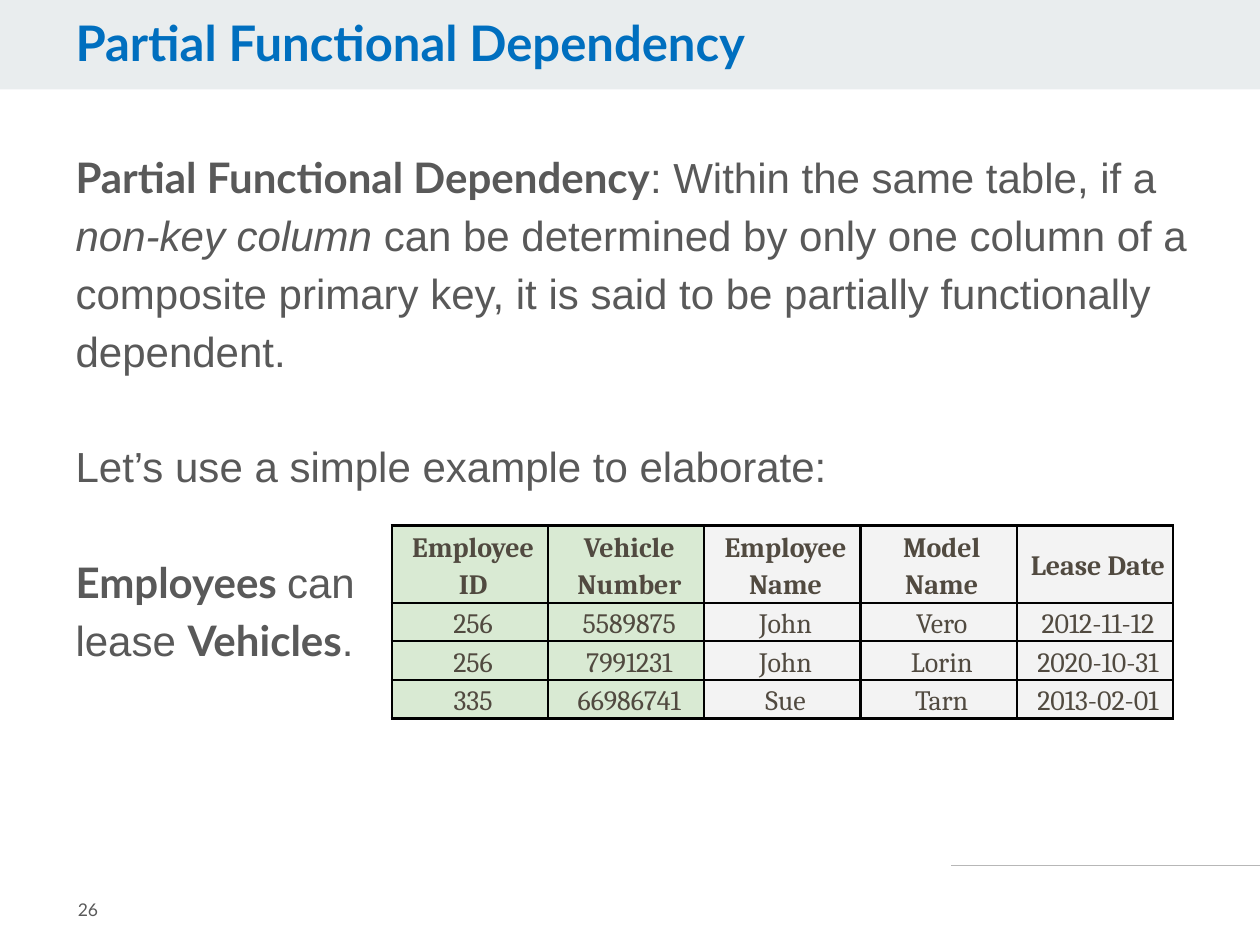
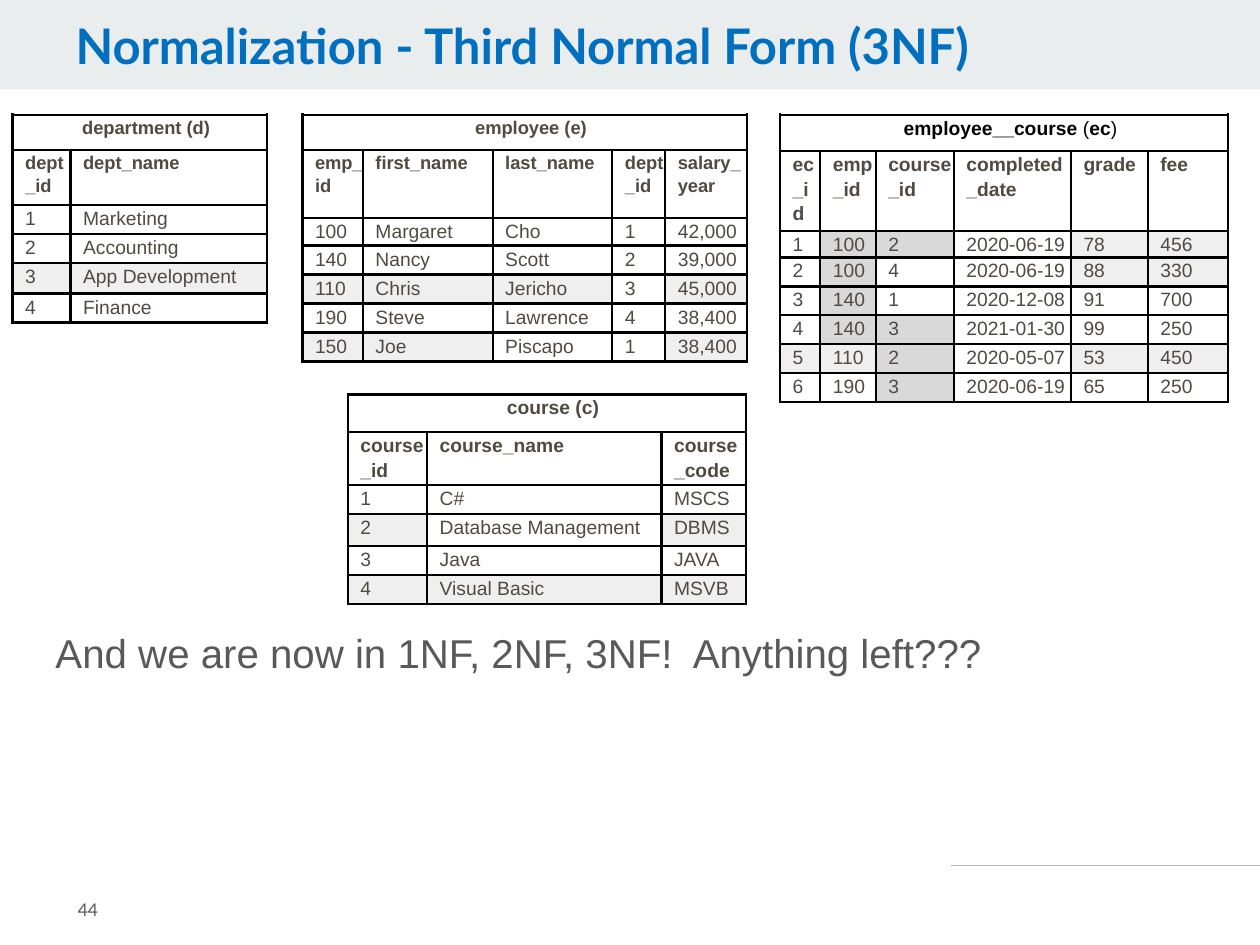
from lxml import etree
from pptx import Presentation
from pptx.dml.color import RGBColor
from pptx.enum import shapes, text
from pptx.oxml import ns
from pptx.util import Inches, Pt

BLUE, GREY, BROWN, BLACK = "006FBF", "595959", "514A40", "000000"
BAND, RULE = "E9EDEE", "B7B7B7"
FILLS = {"G": "D9EAD3", "L": "F3F3F3", "D": "D9D9D9", "E": "EFEFEF"}

PARTIAL = [
    (0, [("Partial Functional Dependency", "b"),
         (": Within the same table, if a ", ""),
         ("non-key column ", "i"),
         ("can be determined by only one column of a composite primary key, "
          "it is said to be partially functionally dependent.", "")]),
    (33, [("Let’s use a simple example to elaborate:", "")]),
    (33, [("Employees ", "b"), ("can ", ""), ("\n", ""), ("lease ", ""),
          ("Vehicles", "b"), (".", "")]),
]
CLOSING = [(0, [("And we are now in 1NF, 2NF, 3NF!  Anything left???", "")])]

LEASES = {
    "at": (3.11, 4.17), "cols": [1.24] * 5, "heights": [0.59] + [0.29] * 3,
    "rows": [
        ("GGLLL", "Employee ID", "Vehicle Number", "Employee Name", "Model Name", "Lease Date"),
        ("GGLLL", "256", "5589875", "John", "Vero", "2012-11-12"),
        ("GGLLL", "256", "7991231", "John", "Lorin", "2020-10-31"),
        ("GGLLL", "335", "66986741", "Sue", "Tarn", "2013-02-01"),
    ],
}
ENTITIES = [
    {
        "title": [("employee (e)", True)], "color": BROWN, "size": 10.5,
        "at": (2.4, 0.91), "cols": [0.48, 1.03, 0.95, 0.42, 0.65],
        "heights": [0.28, 0.54, 0.22] + [0.23] * 4,
        "rows": [
            ("-----", "emp_id", "first_name", "last_name", "dept_id", "salary_year"),
            ("-----", "100", "Margaret", "Cho", "1", "42,000"),
            ("-----", "140", "Nancy", "Scott", "2", "39,000"),
            ("EEE-E", "110", "Chris", "Jericho", "3", "45,000"),
            ("-----", "190", "Steve", "Lawrence", "4", "38,400"),
            ("EE--E", "150", "Joe", "Piscapo", "1", "38,400"),
        ],
    },
    {
        "title": [("department (d)", True)], "color": BROWN, "size": 10.5,
        "at": (0.1, 0.91), "cols": [0.46, 1.56],
        "heights": [0.28, 0.44, 0.23, 0.23, 0.24, 0.23],
        "rows": [
            ("--", "dept_id", "dept_name"),
            ("--", "1", "Marketing"),
            ("--", "2", "Accounting"),
            ("EE", "3", "App Development"),
            ("--", "4", "Finance"),
        ],
    },
    {
        "title": [("employee__course ", True), ("(", False), ("ec", True), (")", False)],
        "color": BLACK, "size": 11,
        "at": (6.19, 0.91), "cols": [0.32, 0.44, 0.62, 0.93, 0.61, 0.64],
        "heights": [0.29, 0.54, 0.21] + [0.23] * 5,
        "rows": [
            ("------", "ec_id", "emp_id", "course_id", "completed_date", "grade", "fee"),
            ("-DD-EE", "1", "100", "2", "2020-06-19", "78", "456"),
            ("-D--EE", "2", "100", "4", "2020-06-19", "88", "330"),
            ("-D----", "3", "140", "1", "2020-12-08", "91", "700"),
            ("-DD---", "4", "140", "3", "2021-01-30", "99", "250"),
            ("EED-EE", "5", "110", "2", "2020-05-07", "53", "450"),
            ("--D---", "6", "190", "3", "2020-06-19", "65", "250"),
        ],
    },
    {
        "title": [("course (c)", True)], "color": BROWN, "size": 11,
        "at": (2.76, 3.13), "cols": [0.63, 1.86, 0.67],
        "heights": [0.3, 0.3, 0.23, 0.25, 0.23, 0.23],
        "rows": [
            ("---", "course_id", "course_name", "course_code"),
            ("---", "1", "C#", "MSCS"),
            ("E-E", "2", "Database Management", "DBMS"),
            ("---", "3", "Java", "JAVA"),
            ("EEE", "4", "Visual Basic", "MSVB"),
        ],
    },
]


def rgb(code):
    return RGBColor.from_string(code)


def style(font, name, size, color, bold=False):
    font.name, font.size, font.bold = name, Pt(size), bold
    font.color.rgb = rgb(color)


def place(shape, left, top, width, height):
    shape.left, shape.top = Inches(left), Inches(top)
    shape.width, shape.height = Inches(width), Inches(height)


def add_frame(slide, layout):
    band = slide.shapes.add_shape(
        shapes.MSO_SHAPE.RECTANGLE, 0, 0, Inches(10), Inches(0.71))
    band.shadow.inherit = False
    band.fill.solid()
    band.fill.fore_color.rgb = rgb(BAND)
    band.line.fill.background()
    rule = slide.shapes.add_connector(
        shapes.MSO_CONNECTOR.STRAIGHT, Inches(7.55), Inches(6.87), Inches(10), Inches(6.87))
    rule.line.color.rgb = rgb(RULE)
    rule.line.width = Pt(0.75)
    etree.SubElement(rule.element.spPr, ns.qn("a:effectLst"))
    for part in (band, rule):
        layout.shapes.element.insert(2, part.element)


def add_title(slide, words, top):
    title = slide.shapes.title
    place(title, 0.5, top, 7.88, 0.55)
    frame = title.text_frame
    frame.text = words
    frame.auto_size = text.MSO_AUTO_SIZE.NONE
    frame.vertical_anchor = text.MSO_ANCHOR.MIDDLE
    para = frame.paragraphs[0]
    para.alignment = text.PP_ALIGN.LEFT
    para.line_spacing = 0.9
    style(para.font, "Lato", 28, BLUE, True)


def add_body(slide, paras, box, size, inset=0.05):
    body = slide.placeholders[1]
    place(body, *box)
    frame = body.text_frame
    frame.auto_size = text.MSO_AUTO_SIZE.NONE
    frame.margin_top = Inches(inset)
    for i, (gap, runs) in enumerate(paras):
        para = frame.add_paragraph() if i else frame.paragraphs[0]
        para.line_spacing = 1.15
        para.space_before = Pt(gap)
        style(para.font, "Arial", size, GREY)
        props = para._p.get_or_add_pPr()
        props.set("marL", "0")
        props.set("indent", "0")
        props.insert_element_before(
            props.makeelement(ns.qn("a:buNone")), "a:tabLst", "a:defRPr", "a:extLst")
        for words, mark in runs:
            if words == "\n":
                para.add_line_break()
                continue
            run = para.add_run()
            run.text = words
            if mark == "b":
                run.font.name, run.font.bold = "Lato", True
            elif mark == "i":
                run.font.italic = True


def add_number(slide, number):
    box = slide.shapes.add_textbox(Inches(0.52), Inches(6.93), Inches(1.23), Inches(0.57))
    frame = box.text_frame
    frame.word_wrap = True
    frame.vertical_anchor = text.MSO_ANCHOR.MIDDLE
    frame.margin_top = frame.margin_bottom = Inches(0.1)
    frame.text = str(number)
    style(frame.paragraphs[0].font, "Lato", 10, GREY)


def add_borders(cell):
    props = cell._tc.get_or_add_tcPr()
    for side in ("lnL", "lnR", "lnT", "lnB"):
        line = etree.SubElement(props, ns.qn("a:" + side), w=str(Pt(1.5)))
        fill = etree.SubElement(line, ns.qn("a:solidFill"))
        etree.SubElement(fill, ns.qn("a:srgbClr"), val=BLACK)


def set_cell(cell, words, mark, inset):
    add_borders(cell)
    if mark in FILLS:
        cell.fill.solid()
        cell.fill.fore_color.rgb = rgb(FILLS[mark])
    else:
        cell.fill.background()
    cell.margin_left = Inches(inset)
    cell.margin_right = cell.margin_top = cell.margin_bottom = 0
    cell.text = words
    para = cell.text_frame.paragraphs[0]
    para.line_spacing = 1.15
    return para


def add_grid(slide, data):
    cols, heights = data["cols"], data["heights"]
    left, top = data["at"]
    grid = slide.shapes.add_table(
        len(heights), len(cols), Inches(left), Inches(top),
        Inches(sum(cols)), Inches(sum(heights))).table
    grid.first_row = grid.horz_banding = False
    for col, width in zip(grid.columns, cols):
        col.width = Inches(width)
    for row, height in zip(grid.rows, heights):
        row.height = Inches(height)
    return grid


def add_leases(slide, data):
    grid = add_grid(slide, data)
    for r, (marks, *words) in enumerate(data["rows"]):
        for c, word in enumerate(words):
            cell = grid.cell(r, c)
            para = set_cell(cell, word, marks[c], 0.05)
            cell.vertical_anchor = text.MSO_ANCHOR.MIDDLE
            para.alignment = text.PP_ALIGN.CENTER
            style(para.font, "Cambria", 16, BROWN, r == 0)


def add_entity(slide, data):
    grid = add_grid(slide, data)
    last = len(data["cols"]) - 1
    for c in range(last + 1):
        para = set_cell(grid.cell(0, c), "", "-", 0.1)
    grid.cell(0, 0).merge(grid.cell(0, last))
    para = grid.cell(0, 0).text_frame.paragraphs[0]
    para.alignment = text.PP_ALIGN.CENTER
    para.space_before = Pt(4)
    style(para.font, "Arial", data["size"], data["color"])
    for words, bold in data["title"]:
        run = para.add_run()
        run.text, run.font.bold = words, bold
    for r, (marks, *words) in enumerate(data["rows"], 1):
        for c, word in enumerate(words):
            para = set_cell(grid.cell(r, c), word, marks[c], 0.1)
            para.space_before = Pt(4)
            style(para.font, "Arial", data["size"] if r == 1 else 11, BROWN, r == 1)


def main():
    deck = Presentation()
    deck.slide_width, deck.slide_height = Inches(10), Inches(7.5)
    layout = deck.slide_layouts[1]

    first = deck.slides.add_slide(layout)
    add_frame(first, layout)
    add_title(first, "Partial Functional Dependency", 0.09)
    add_body(first, PARTIAL, (0.5, 1.09, 9.11, 4.99), 24)
    add_number(first, 26)
    add_leases(first, LEASES)

    second = deck.slides.add_slide(layout)
    add_title(second, "Normalization - Third Normal Form (3NF)", 0.11)
    add_body(second, CLOSING, (0.34, 0.91, 9.42, 6.3), 23, 4.02)
    add_number(second, 44)
    for entity in ENTITIES:
        add_entity(second, entity)

    deck.save("out.pptx")


if __name__ == "__main__":
    main()
